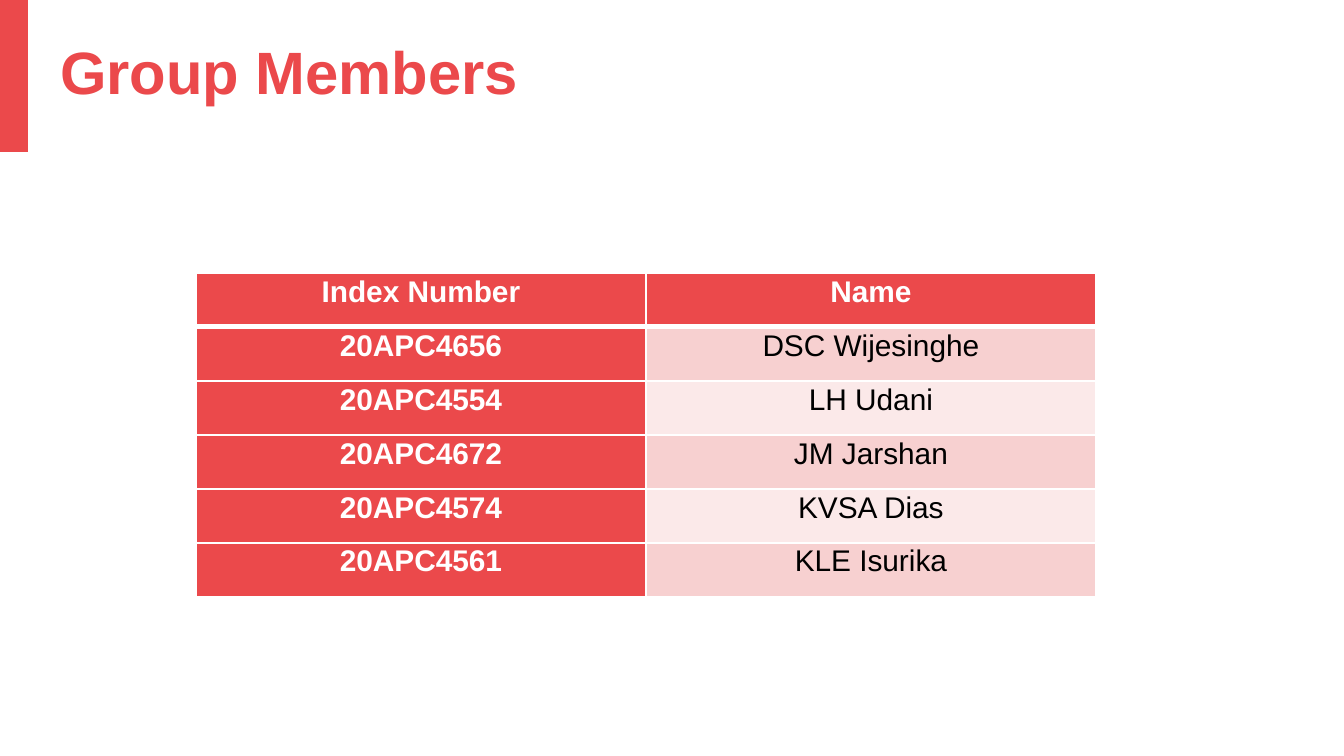
from dataclasses import dataclass

from lxml import etree
from pptx import Presentation
from pptx.dml.color import RGBColor
from pptx.enum import shapes, text
from pptx.oxml import ns
from pptx.util import Emu, Pt


@dataclass(frozen=True)
class Theme:
    font: str = "Arial"
    accent: str = "EB494B"
    white: str = "FFFFFF"
    black: str = "000000"
    bands: tuple = ("F7D0D0", "FBE9E9")
    title_size: int = 32
    table_size: int = 16
    line_spacing: float = 1.07
    rule: int = 1
    header_rule: int = 3


THEME = Theme()
PX_PER_INCH = 134.4

MEMBERS = [
    ("Index Number", "Name"),
    ("20APC4656", "DSC Wijesinghe"),
    ("20APC4554", "LH Udani"),
    ("20APC4672", "JM Jarshan"),
    ("20APC4574", "KVSA Dias"),
    ("20APC4561", "KLE Isurika"),
]


def px(length):
    return Emu(round(length * 914400 / PX_PER_INCH))


def style_font(font, size, color, bold):
    font.name = THEME.font
    font.size = Pt(size)
    font.bold = bold
    font.color.rgb = RGBColor.from_string(color)


def add_border(cell, side, width):
    """Draw one white cell border; side is L, R, T or B."""
    properties = cell._tc.get_or_add_tcPr()
    line = etree.SubElement(properties, ns.qn(f"a:ln{side}"), w=str(Pt(width)))
    fill = etree.SubElement(line, ns.qn("a:solidFill"))
    etree.SubElement(fill, ns.qn("a:srgbClr"), val=THEME.white)


def add_accent_bar(slide, left, top, width, height):
    bar = slide.shapes.add_shape(
        shapes.MSO_SHAPE.RECTANGLE, px(left), px(top), px(width), px(height))
    bar.shadow.inherit = False
    bar.fill.solid()
    bar.fill.fore_color.rgb = RGBColor.from_string(THEME.accent)
    bar.line.fill.background()


def add_title(slide, title, left, top, width, height):
    box = slide.shapes.add_textbox(px(left), px(top), px(width), px(height))
    frame = box.text_frame
    frame.word_wrap = True
    frame.vertical_anchor = text.MSO_ANCHOR.MIDDLE
    paragraph = frame.paragraphs[0]
    paragraph.text = title
    style_font(paragraph.font, THEME.title_size, THEME.accent, True)


def fill_cell(cell, value, row, column):
    is_heading = row == 0 or column == 0
    # Borders come before the fill in the cell properties
    for side in "LRTB":
        under_header = (row, side) in ((0, "B"), (1, "T"))
        add_border(cell, side, THEME.header_rule if under_header else THEME.rule)
    background = THEME.accent if is_heading else THEME.bands[(row - 1) % 2]
    cell.fill.solid()
    cell.fill.fore_color.rgb = RGBColor.from_string(background)

    cell.margin_left = cell.margin_right = px(10)
    cell.margin_top = cell.margin_bottom = 0
    paragraph = cell.text_frame.paragraphs[0]
    paragraph.text = value
    paragraph.alignment = text.PP_ALIGN.CENTER
    paragraph.line_spacing = THEME.line_spacing
    style_font(paragraph.font, THEME.table_size,
               THEME.white if is_heading else THEME.black, is_heading)


def add_member_table(slide, rows, left, top, width, height):
    frame = slide.shapes.add_table(
        len(rows), len(rows[0]), px(left), px(top), px(width), px(height))
    table = frame.table
    table.first_col = True
    for row, values in enumerate(rows):
        for column, value in enumerate(values):
            fill_cell(table.cell(row, column), value, row, column)


def main():
    presentation = Presentation()
    presentation.slide_width = px(1344)
    presentation.slide_height = px(756)
    slide = presentation.slides.add_slide(presentation.slide_layouts[6])

    # Heading
    add_accent_bar(slide, 0, 0, 28, 152)
    add_title(slide, "Group Members", 47, 28, 1058, 85)

    # Members
    add_member_table(slide, MEMBERS, 196, 273, 900, 324)

    presentation.save("out.pptx")


if __name__ == "__main__":
    main()
